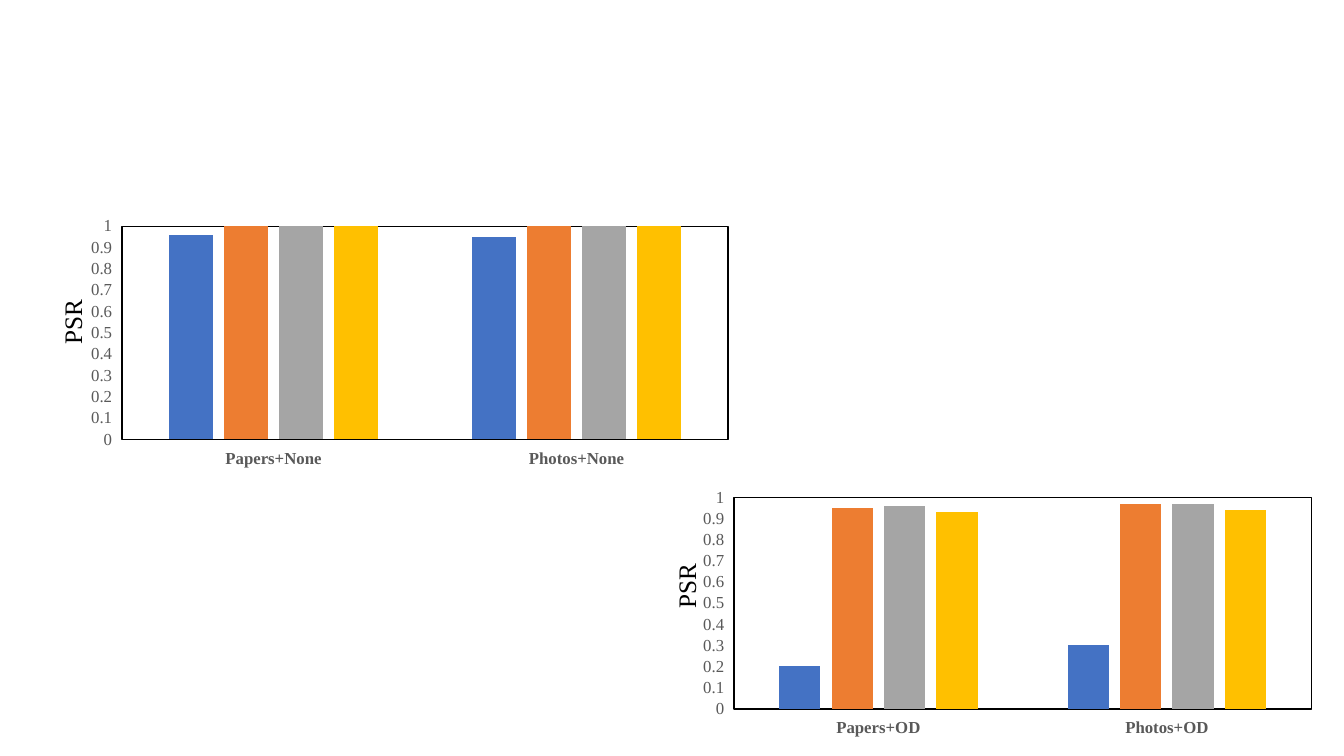
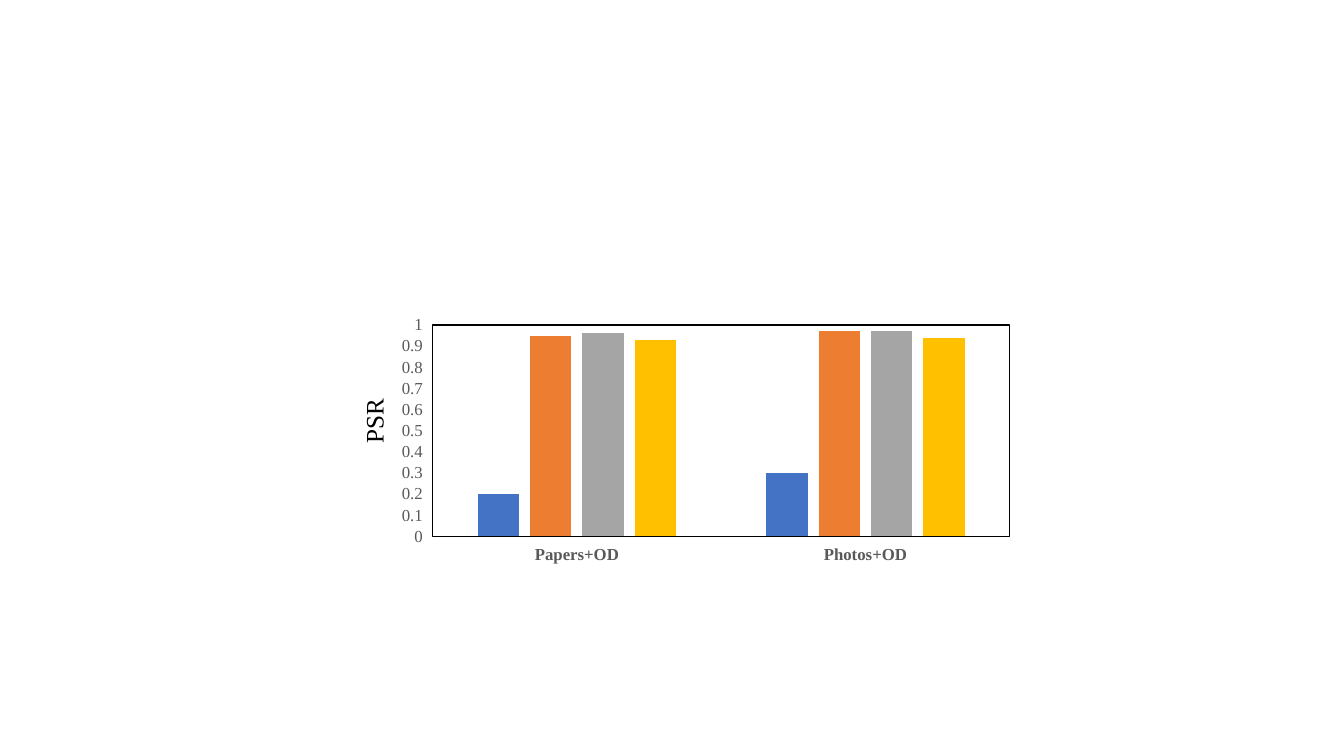
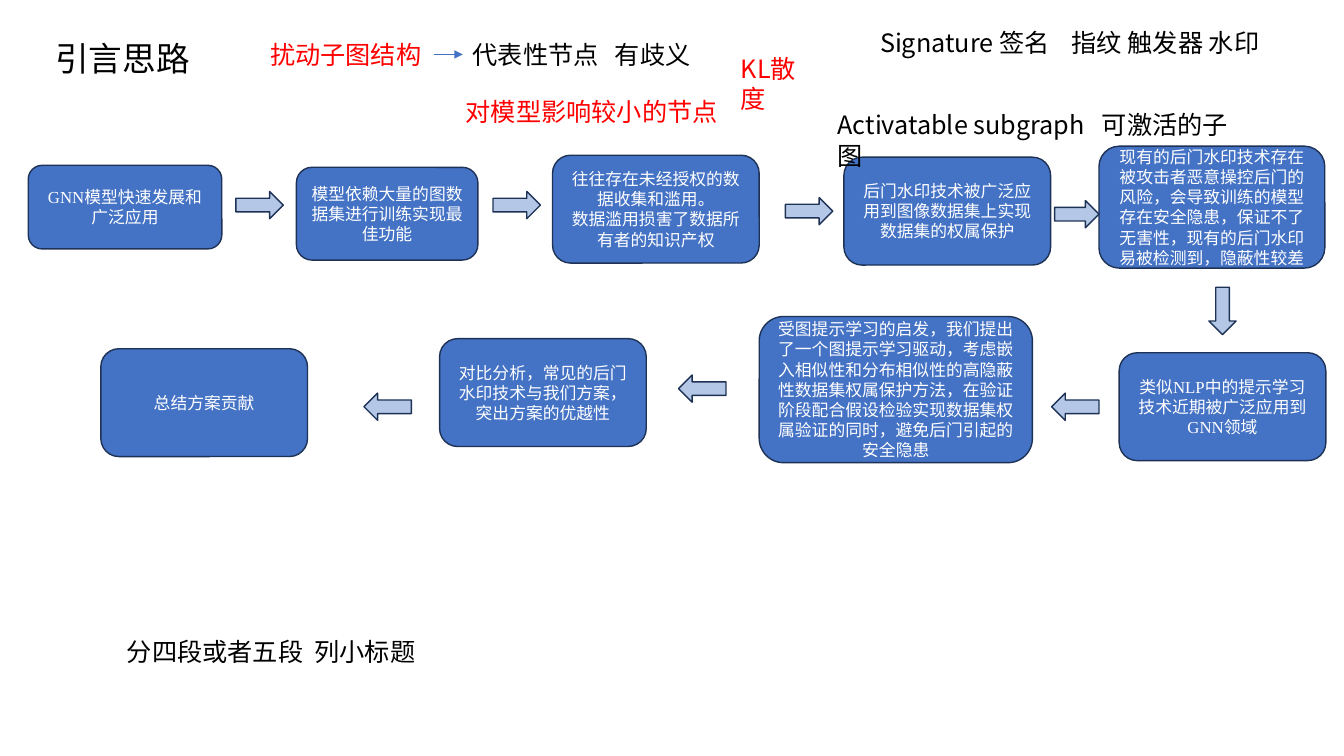
from pptx import Presentation
from pptx.chart.data import CategoryChartData
from pptx.dml.color import RGBColor
from pptx.enum import chart as charts, shapes, text
from pptx.oxml import parse_xml
from pptx.oxml.ns import nsdecls, qn
from pptx.util import Inches, Pt

COLORS = {"ink": "000000", "axis": "595959", "red": "FF0000", "white": "FFFFFF",
          "blue": "4472C4", "orange": "ED7D31", "gray": "A5A5A5", "gold": "FFC000",
          "pale": "B4C7E7", "navy": "1E3256"}
SERIES_COLORS = ("blue", "orange", "gray", "gold")
SANS, SERIF = "Noto Sans CJK SC", "Times New Roman"
CHART_FORMAT = {"has_legend": False, "has_title": False}
VALUE_AXIS_FORMAT = {"minimum_scale": 0, "maximum_scale": 1, "major_unit": 0.1,
                     "has_major_gridlines": False}
BAR_FORMAT = {"gap_width": 219, "overlap": -27, "vary_by_categories": False}

NONE_PLOT = (0.06, 0.1, 0.9, 0.72)
OD_PLOT = (0.06, 0.13, 0.9, 0.69)
NONE_RATES = {"Papers+None": (0.96, 1, 1, 1), "Photos+None": (0.95, 1, 1, 1)}
OD_RATES = {"Papers+OD": (0.2, 0.95, 0.96, 0.93), "Photos+OD": (0.3, 0.97, 0.97, 0.94)}

STEP_SIZE = (2.05, 1.07)
STEPS = [
    ((0.28, 1.64), (1.92, 0.83), "GNN模型快速发展和广泛应用"),
    ((2.94, 1.66), (1.8, 0.92), "模型依赖大量的图数据集进行训练实现最佳功能"),
    ((5.48, 1.54), STEP_SIZE,
     "往往存在未经授权的数据收集和滥用。\n数据滥用损害了数据所有者的知识产权"),
    ((8.37, 1.56), STEP_SIZE, "后门水印技术被广泛应用到图像数据集上实现数据集的权属保护"),
    ((10.9, 1.45), (2.24, 1.21),
     "现有的后门水印技术存在被攻击者恶意操控后门的风险，会导致训练的模型存在安全隐患，"
     "保证不了无害性，现有的后门水印易被检测到，隐蔽性较差"),
    ((11.1, 3.5), STEP_SIZE, "类似NLP中的提示学习技术近期被广泛应用到GNN领域"),
    ((7.53, 3.14), (2.71, 1.45),
     "受图提示学习的启发，我们提出了一个图提示学习驱动，考虑嵌入相似性和分布相似性的"
     "高隐蔽性数据集权属保护方法，在验证阶段配合假设检验实现数据集权属验证的同时，"
     "避免后门引起的安全隐患"),
    ((4.36, 3.36), STEP_SIZE, "对比分析，常见的后门水印技术与我们方案，突出方案的优越性"),
    ((1, 3.46), STEP_SIZE, "总结方案贡献"),
]
# left, top, width, rotation
ARROWS = [(2.34, 1.9, 0.47, 0), (4.89, 1.9, 0.47, 0), (7.79, 1.96, 0.47, 0),
          (10.46, 1.99, 0.44, 0), (11.89, 2.95, 0.47, 90), (10.43, 3.9, 0.47, 180),
          (6.73, 3.72, 0.47, 180), (3.61, 3.9, 0.47, 180)]


def rgb(color):
    return RGBColor.from_string(COLORS[color])


def apply(target, formats):
    for attribute, value in formats.items():
        setattr(target, attribute, value)


class Deck:
    def __init__(self):
        self.prs = Presentation()
        self.prs.slide_width, self.prs.slide_height = Inches(13.33), Inches(7.5)
        self.slide = None

    def new_slide(self):
        self.slide = self.prs.slides.add_slide(self.prs.slide_layouts[6])

    def style(self, font, name, size, color, bold=False):
        apply(font, {"name": name, "size": Pt(size), "bold": bold})
        font.color.rgb = rgb(color)

    def set_text(self, frame, words, name, size, color, align=None):
        frame.text = words
        for paragraph in frame.paragraphs:
            paragraph.alignment = align
            for run in paragraph.runs:
                self.style(run.font, name, size, color)
                run.font._element.append(
                    parse_xml(f'<a:ea {nsdecls("a")} typeface="{SANS}"/>'))

    def label(self, words, box, color="ink", name=SANS, size=18, tab=None, wrap=True,
              rotation=0):
        """Add a text box; tab is the distance of its tab stop from the text edge."""
        note = self.slide.shapes.add_textbox(*map(Inches, box))
        note.rotation = rotation
        note.text_frame.word_wrap = wrap
        self.set_text(note.text_frame, words, name, size, color)
        if tab:
            note.text_frame.paragraphs[0]._p.get_or_add_pPr().append(parse_xml(
                f'<a:tabLst {nsdecls("a")}><a:tab pos="{Inches(tab)}" algn="l"/></a:tabLst>'))
        return note

    def title(self, words):
        frame = self.label(words, (0.45, 0.09, 12.03, 1.02), size=24).text_frame
        frame.vertical_anchor = text.MSO_ANCHOR.MIDDLE
        frame.paragraphs[0].line_spacing = 0.9

    def block(self, kind, box, fill):
        block = self.slide.shapes.add_shape(kind, *map(Inches, box))
        block.shadow.inherit = False
        block.fill.solid()
        block.fill.fore_color.rgb = rgb(fill)
        block.line.color.rgb = rgb("navy")
        block.line.width = Pt(1)
        return block

    def step(self, place, size, words):
        step = self.block(shapes.MSO_SHAPE.ROUNDED_RECTANGLE, place + size, "blue")
        step.text_frame.word_wrap = True
        step.text_frame.vertical_anchor = text.MSO_ANCHOR.MIDDLE
        self.set_text(step.text_frame, words, SERIF, 12, "white", text.PP_ALIGN.CENTER)

    def arrow(self, left, top, width, rotation):
        arrow = self.block(shapes.MSO_SHAPE.RIGHT_ARROW, (left, top, width, 0.27), "pale")
        arrow.rotation = rotation

    def link(self, source, target):
        """Join the right side of source to the left side of target."""
        link = self.slide.shapes.add_connector(shapes.MSO_CONNECTOR.STRAIGHT, 0, 0, 0, 0)
        link.begin_connect(source, 3)
        link.end_connect(target, 1)
        link.line.color.rgb = rgb("blue")
        link.line.width = Pt(0.5)
        link.line._get_or_add_ln().append(
            parse_xml(f'<a:tailEnd {nsdecls("a")} type="triangle"/>'))
        link._element.spPr.append(parse_xml(f'<a:effectLst {nsdecls("a")}/>'))

    def frame_plot(self, chart, plot):
        """Place the inner plot area by fractions of the chart and outline it."""
        area = chart._chartSpace.chart.plotArea
        for layout in area.findall(qn("c:layout")):
            area.remove(layout)
        places = "".join(f'<c:{key} val="{value}"/>' for key, value in zip("xywh", plot))
        area.insert(0, parse_xml(
            f'<c:layout {nsdecls("c")}><c:manualLayout><c:layoutTarget val="inner"/>'
            f'<c:xMode val="edge"/><c:yMode val="edge"/>{places}'
            '</c:manualLayout></c:layout>'))
        area.append(parse_xml(
            f'<c:spPr {nsdecls("c", "a")}><a:noFill/><a:ln w="{Pt(1)}"><a:solidFill>'
            f'<a:srgbClr val="{COLORS["ink"]}"/></a:solidFill></a:ln></c:spPr>'))

    def rate_chart(self, rates, box, plot, axis_title_at):
        data = CategoryChartData()
        data.categories = list(rates)
        for number, values in enumerate(zip(*rates.values()), 1):
            data.add_series(f"Series {number}", values)
        chart = self.slide.shapes.add_chart(
            charts.XL_CHART_TYPE.COLUMN_CLUSTERED, *map(Inches, box), data).chart
        apply(chart, CHART_FORMAT)
        self.style(chart.font, SANS, 10, "ink")
        apply(chart.value_axis, VALUE_AXIS_FORMAT)
        apply(chart.plots[0], BAR_FORMAT)
        for axis, bold in ((chart.category_axis, True), (chart.value_axis, False)):
            axis.format.line.fill.background()
            self.style(axis.tick_labels.font, SERIF, 12, "axis", bold)
        for series, color in zip(chart.plots[0].series, SERIES_COLORS):
            series.format.fill.solid()
            series.format.fill.fore_color.rgb = rgb(color)
        self.frame_plot(chart, plot)
        self.label("PSR", axis_title_at + (0.65, 0.4), name=SERIF, wrap=False, rotation=270)


def main():
    deck = Deck()

    deck.new_slide()
    deck.rate_chart(NONE_RATES, (0.81, 1.95, 6.68, 2.94), NONE_PLOT, (0.39, 2.99))
    deck.rate_chart(OD_RATES, (6.9, 4.54, 6.36, 3.04), OD_PLOT, (6.48, 5.61))

    deck.new_slide()
    deck.rate_chart(OD_RATES, (3.91, 2.83, 6.36, 3.04), OD_PLOT, (3.38, 3.97))

    deck.new_slide()
    deck.title("引言思路")
    for step in STEPS:
        deck.step(*step)
    for arrow in ARROWS:
        deck.arrow(*arrow)
    deck.label("Signature 签名\t指纹 触发器 水印", (8.63, 0.22, 4.27, 0.4), tab=1.9)
    deck.label("Activatable subgraph\t可激活的子图", (8.21, 1.04, 4.27, 0.4), tab=2.62)
    nodes = deck.label("代表性节点\t有歧义", (4.59, 0.34, 2.43, 0.4), tab=1.41)
    perturbation = deck.label("扰动子图结构", (2.58, 0.34, 1.72, 0.4), "red")
    deck.link(perturbation, nodes)
    deck.label("KL散度", (7.25, 0.48, 0.96, 0.4), "red")
    deck.label("对模型影响较小的节点", (4.52, 0.91, 2.73, 0.4), "red")
    deck.label("分四段或者五段\t列小标题", (1.16, 6.26, 3.12, 0.4), tab=1.86)

    deck.prs.save("out.pptx")


if __name__ == "__main__":
    main()
